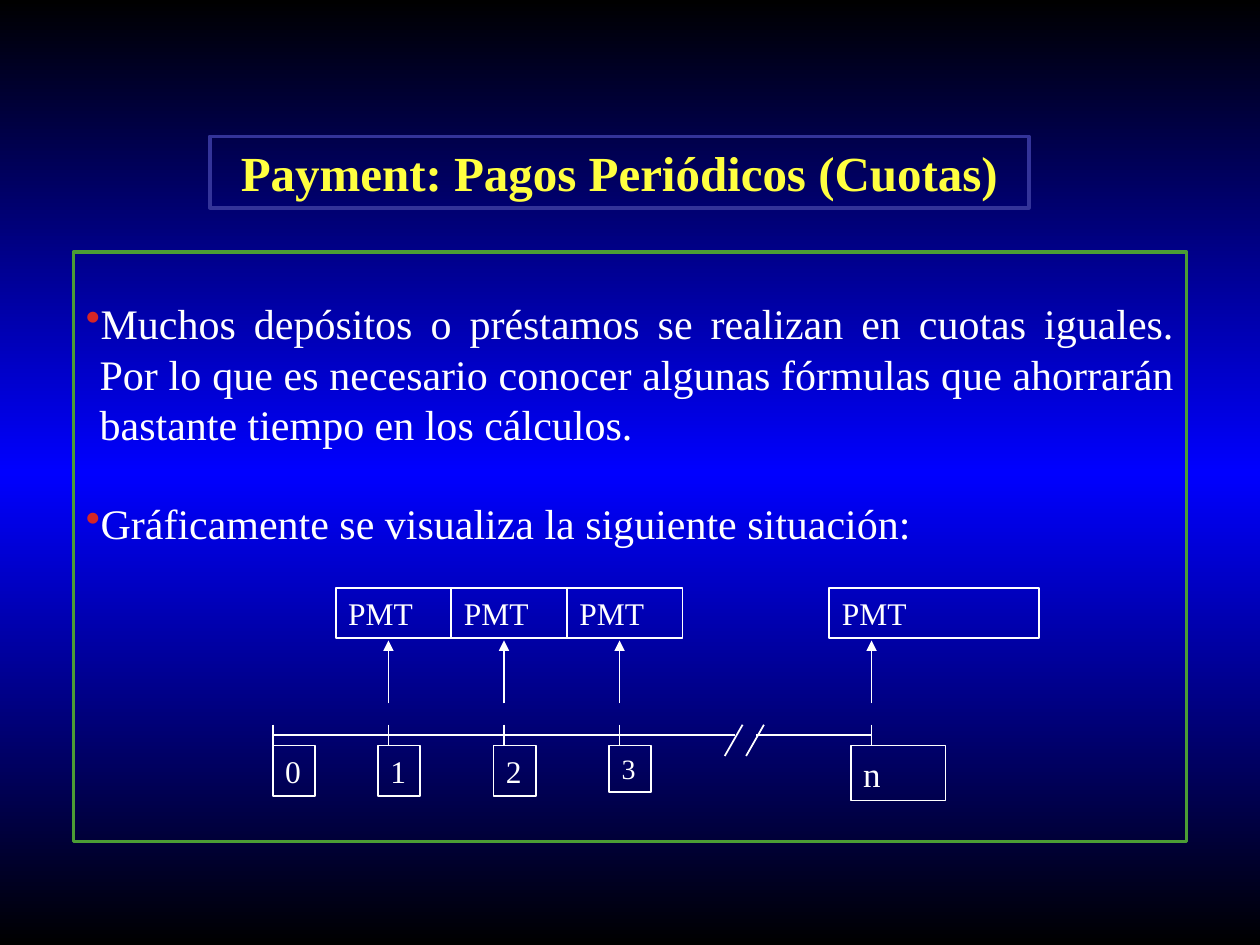
from copy import deepcopy

from lxml import etree
from pptx import Presentation
from pptx import util as u
from pptx.dml.color import RGBColor
from pptx.enum import shapes, text
from pptx.oxml import ns

COLORS = {
    "black": "000000", "blue": "0000FF", "indigo": "333399", "yellow": "FFFF40",
    "green": "4B9D35", "red": "D62626", "white": "FFFFFF",
}
FONT = "Times New Roman"
BULLETS = [
    "Muchos depósitos o préstamos se realizan en cuotas iguales. Por lo que es necesario "
    "conocer algunas fórmulas que ahorrarán bastante tiempo en los cálculos.",
    "Gráficamente se visualiza la siguiente situación:",
]


def color(name):
    """Return the named colour."""
    return RGBColor.from_string(COLORS[name])


def format_frame(shape, line, width):
    """Give a shape its outline, insets and top-anchored wrapped text."""
    shape.fill.background()
    shape.line.color.rgb = color(line)
    shape.line.width = u.Pt(width)
    frame = shape.text_frame
    frame.word_wrap = True
    frame.auto_size = text.MSO_AUTO_SIZE.NONE
    frame.vertical_anchor = text.MSO_ANCHOR.TOP
    frame.margin_left = frame.margin_right = u.Cm(0.25)
    frame.margin_top = frame.margin_bottom = u.Cm(0.13)
    return frame


def format_paragraph(para, size, name="white", align=text.PP_ALIGN.LEFT, bold=False):
    """Set the font, alignment and line height of a paragraph."""
    para.alignment = align
    para.space_before = u.Pt(0)
    para.line_spacing = u.Pt(round(size * 1.2, 1))
    para.font.name = FONT
    para.font.size = u.Pt(size)
    para.font.bold = bold
    para.font.color.rgb = color(name)


def add_bullet(para):
    """Hang a red bullet in front of a paragraph."""
    props = para._p.get_or_add_pPr()
    props.set("marL", str(u.Cm(0.28)))
    props.set("indent", str(-u.Cm(0.28)))
    tint = etree.SubElement(props, ns.qn("a:buClr"))
    etree.SubElement(tint, ns.qn("a:srgbClr"), val=COLORS["red"])
    etree.SubElement(props, ns.qn("a:buChar"), char="•")


def add_label(page, words, left, top, width, height, size=18):
    """Add a small outlined label."""
    box = page.shapes.add_textbox(*map(u.Cm, (left, top, width, height)))
    frame = format_frame(box, "white", 1)
    frame.text = words
    format_paragraph(frame.paragraphs[0], size)


def add_line(page, x1, y1, x2, y2, arrow=False):
    """Add a thin white line, with an arrowhead at its end if asked."""
    line = page.shapes.add_connector(
        shapes.MSO_CONNECTOR.STRAIGHT, *map(u.Cm, (x1, y1, x2, y2)))
    line.line.color.rgb = color("white")
    line.line.width = u.Pt(1)
    if arrow:
        etree.SubElement(line.line._get_or_add_ln(), ns.qn("a:tailEnd"), type="triangle")
    etree.SubElement(line._element.spPr, ns.qn("a:effectLst"))


def paint_background(page):
    """Fill the page with a vertical black, blue, black gradient."""
    fill = page.background.fill
    fill.gradient()
    fill.gradient_angle = 90
    for stop in fill.gradient_stops:
        stop.color.rgb = color("black")
    first = page.element.find(".//" + ns.qn("a:gs"))
    middle = deepcopy(first)
    middle.set("pos", "50000")
    middle.find(ns.qn("a:srgbClr")).set("val", COLORS["blue"])
    first.addnext(middle)


def place_title(page, left, top, width, height):
    """Move and format the title."""
    title = page.shapes.title
    title.left, title.top, title.width, title.height = map(u.Cm, (left, top, width, height))
    frame = format_frame(title, "indigo", 2)
    frame.text = "Payment: Pagos Periódicos (Cuotas)"
    format_paragraph(frame.paragraphs[0], 28, "yellow", text.PP_ALIGN.CENTER, True)


def place_body(page, left, top, width, height):
    """Add the framed bullet text."""
    box = page.shapes.add_textbox(*map(u.Cm, (left, top, width, height)))
    frame = format_frame(box, "green", 2)
    frame.margin_top = u.Cm(0.92)
    frame.text = "\n".join(BULLETS)
    for para in frame.paragraphs:
        add_bullet(para)
        format_paragraph(para, 24, align=text.PP_ALIGN.JUSTIFY)
    frame.paragraphs[-1].space_before = u.Pt(28.1)


def place_timeline(page, left, top):
    """Draw the payments above a broken time axis."""
    step, last, axis = 2.33, 12.07, top + 2.97
    periods = [
        ("0", 0, 0, 0.85, 1.02, 18),
        ("1", step, 0.21, 0.85, 1.02, 18),
        ("2", 2 * step, 0.21, 0.85, 1.02, 18),
        ("3", 3 * step, 0.21, 0.85, 0.94, 16),
        ("n", last, 0.42, 1.91, 1.11, 20),
    ]
    add_line(page, left, axis, left + 4 * step, axis)
    add_line(page, left + last - step, axis, left + last, axis)
    for start in (9.47, 9.9):
        add_line(page, left + start, axis - 0.21, left + start - 0.36, axis + 0.42)
    for name, offset, shift, width, height, size in periods:
        tick = left + offset
        add_line(page, tick, axis - 0.21, tick, axis + 0.21)
        add_label(page, name, tick - shift, axis + 0.21, width, height, size)
        if name != "0":
            add_line(page, tick, top + 2.33, tick, top + 1.06, arrow=True)
            lead, span = (0.85, 4.23) if name == "n" else (1.06, step)
            add_label(page, "PMT", tick - lead, top, span, 1.02)


def main():
    """Build and save the deck."""
    deck = Presentation()
    deck.slide_width, deck.slide_height = u.Cm(25.4), u.Cm(19.05)
    page = deck.slides.add_slide(deck.slide_layouts[5])
    paint_background(page)
    place_title(page, 4.23, 2.75, 16.51, 1.44)
    place_body(page, 1.48, 5.08, 22.44, 11.89)
    place_timeline(page, 5.5, 11.85)
    deck.save("out.pptx")


if __name__ == "__main__":
    main()
